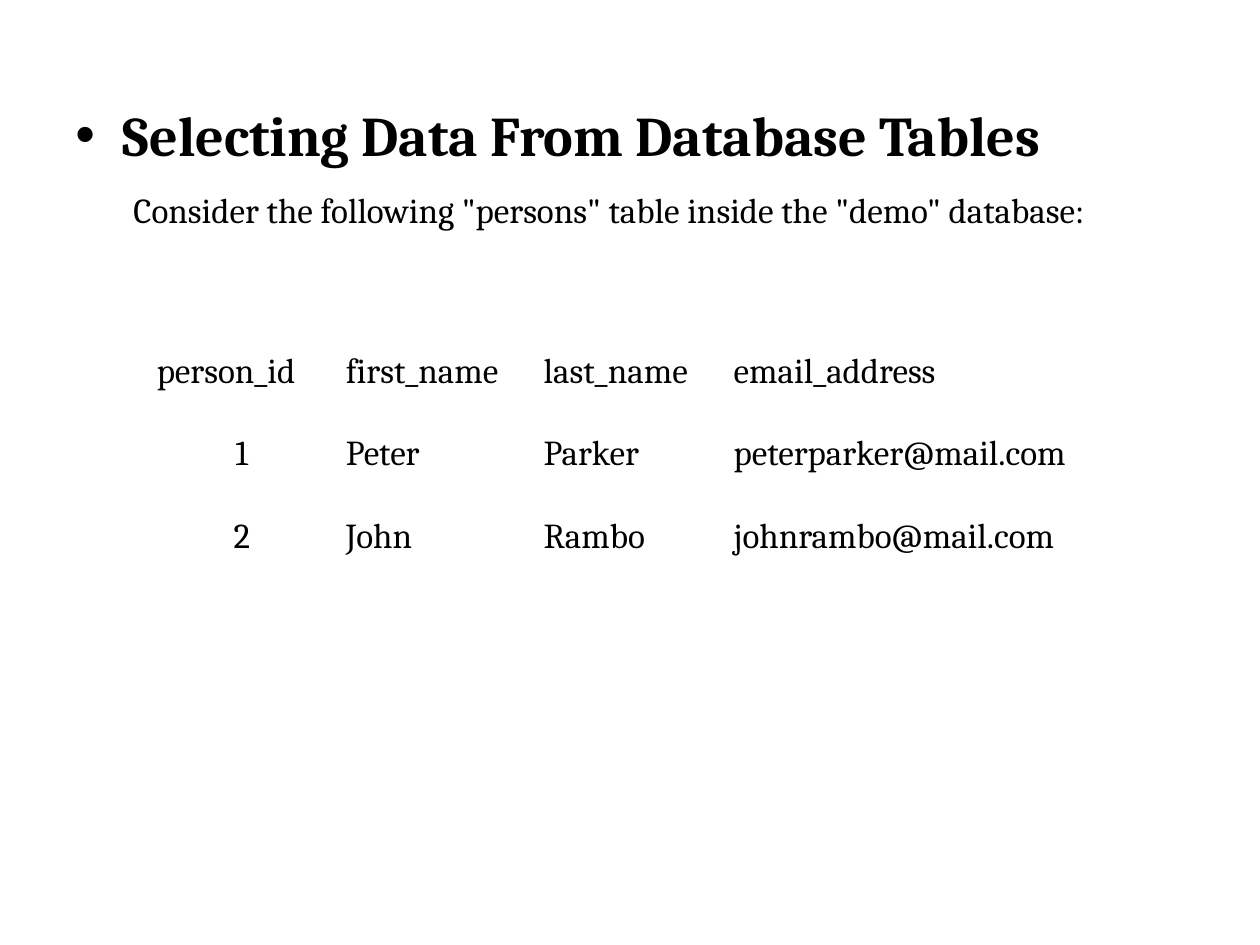
import pptx
import pptx.dml.color
import pptx.enum.text
import pptx.util
from lxml import etree
from pptx.oxml.ns import qn

Cm = pptx.util.Cm
Pt = pptx.util.Pt
ALIGN = pptx.enum.text.PP_ALIGN
COLORS = {"text": "000000"}
FONT = "Cambria"

PERSONS = [
    ("person_id", "first_name", "last_name", "email_address"),
    ("1", "Peter", "Parker", "peterparker@mail.com"),
    ("2", "John", "Rambo", "johnrambo@mail.com"),
]
COLUMN_WIDTHS = (3.81, 3.99, 3.83, 8.69)


def style_font(paragraph, size, bold=False):
    font = paragraph.font
    font.name = FONT
    font.size = Pt(size)
    font.bold = bold
    font.color.rgb = pptx.dml.color.RGBColor.from_string(COLORS["text"])


def add_text(slide, text, left, top, width, height):
    """Add a one-paragraph text box and return its paragraph."""
    shape = slide.shapes.add_textbox(Cm(left), Cm(top), Cm(width), Cm(height))
    shape.text_frame.word_wrap = True
    paragraph = shape.text_frame.paragraphs[0]
    paragraph.text = text
    return paragraph


def add_heading(slide, left, top, width, height):
    paragraph = add_text(slide, "Selecting Data From Database Tables",
                         left, top, width, height)
    properties = paragraph._p.get_or_add_pPr()
    properties.set("marL", str(Cm(0.95)))
    properties.set("indent", str(-Cm(0.95)))
    etree.SubElement(properties, qn("a:buFont"), typeface="Arial")
    etree.SubElement(properties, qn("a:buChar"), char="•")
    style_font(paragraph, 32, bold=True)


def add_caption(slide, left, top, width, height):
    paragraph = add_text(
        slide, 'Consider the following "persons" table inside the "demo" database:',
        left, top, width, height)
    style_font(paragraph, 20)


def add_persons_table(slide, left, top, width, height):
    frame = slide.shapes.add_table(len(PERSONS), len(COLUMN_WIDTHS),
                                   Cm(left), Cm(top), Cm(width), Cm(height))
    table = frame.table
    table.first_row = False
    table.horz_banding = False
    for column, column_width in zip(table.columns, COLUMN_WIDTHS):
        column.width = Cm(column_width)
    for row_index, person in enumerate(PERSONS):
        for column_index, value in enumerate(person):
            cell = table.cell(row_index, column_index)
            cell.fill.background()
            cell.margin_left = cell.margin_right = Cm(0.19)
            cell.margin_top = cell.margin_bottom = Cm(0.13)
            cell.text = value
            paragraph = cell.text_frame.paragraphs[0]
            is_number = row_index > 0 and column_index == 0
            paragraph.alignment = ALIGN.CENTER if is_number else ALIGN.JUSTIFY
            paragraph.line_spacing = 1.5
            style_font(paragraph, 20)


def main():
    presentation = pptx.Presentation()
    presentation.slide_width = Cm(25.4)
    presentation.slide_height = Cm(19.05)
    slide = presentation.slides.add_slide(presentation.slide_layouts[6])
    add_heading(slide, 1.27, 1.9, 22.86, 15.11)
    add_persons_table(slide, 2.97, 6.55, sum(COLUMN_WIDTHS), 5.0)
    add_caption(slide, 2.44, 3.68, 20.3, 1.96)
    presentation.save("out.pptx")


if __name__ == "__main__":
    main()
